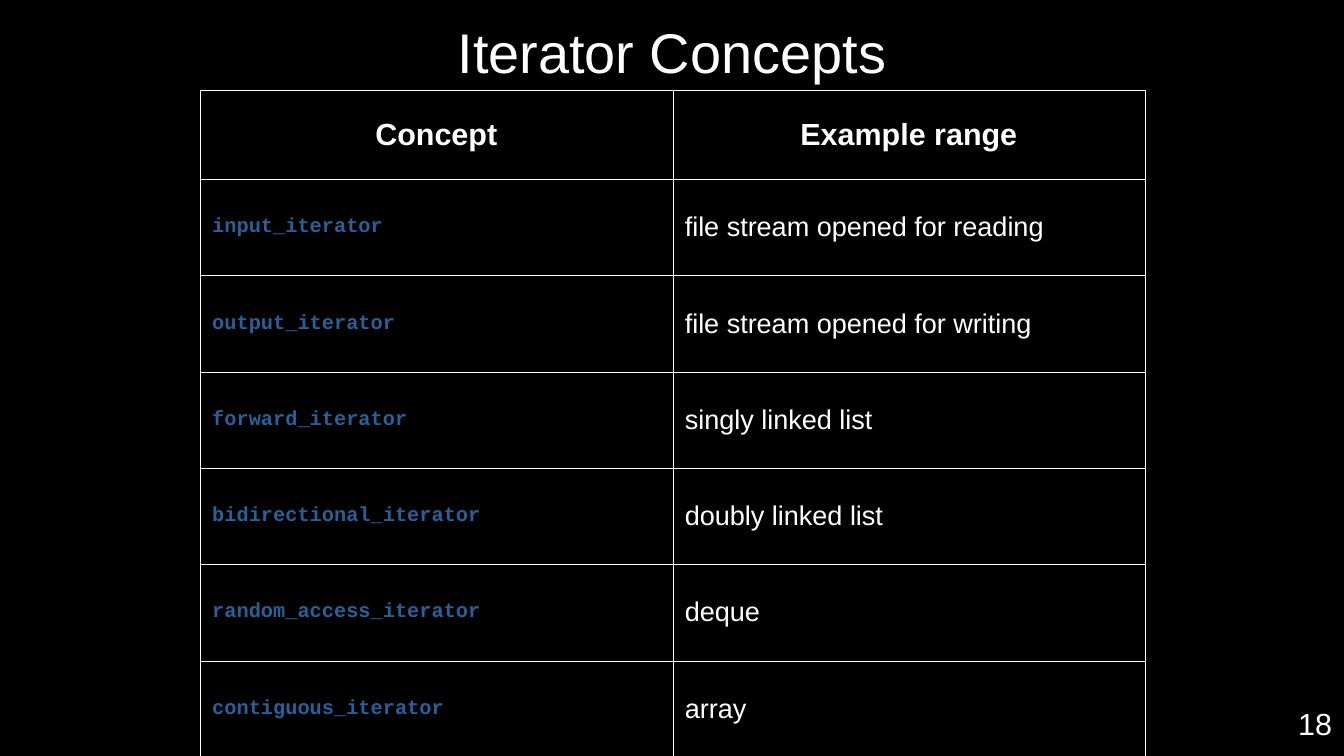
"""Build the slide on iterator concepts with its table of example ranges."""
from lxml.etree import SubElement
from pptx import Presentation
from pptx.dml.color import RGBColor
from pptx.enum.text import MSO_ANCHOR as Anchor, PP_ALIGN as Align
from pptx.oxml.ns import qn
from pptx.util import Inches, Pt

BLACK = RGBColor(0x00, 0x00, 0x00)
WHITE = RGBColor(0xFF, 0xFF, 0xFF)
BLUE = RGBColor(0x2A, 0x60, 0x99)

HEADINGS = ("Concept", "Example range")
CONCEPTS = (
    ("input_iterator", "file stream opened for reading"),
    ("output_iterator", "file stream opened for writing"),
    ("forward_iterator", "singly linked list"),
    ("bidirectional_iterator", "doubly linked list"),
    ("random_access_iterator", "deque"),
    ("contiguous_iterator", "array"),
)


def add_run(frame, text, size, color=WHITE, font="Arial", bold=False, align=Align.LEFT):
    paragraph = frame.paragraphs[0]
    paragraph.alignment = align
    run = paragraph.add_run()
    run.text = text
    run.font.size = Pt(size)
    run.font.name = font
    run.font.bold = bold
    run.font.color.rgb = color


def set_title(slide, text):
    title = slide.shapes.title
    title.left, title.top = Inches(0.55), Inches(0.03)
    title.width, title.height = Inches(9.92), Inches(0.78)
    frame = title.text_frame
    frame.margin_left = frame.margin_right = frame.margin_top = frame.margin_bottom = 0
    frame.vertical_anchor = Anchor.MIDDLE
    add_run(frame, text, 33, align=Align.CENTER)


def add_slide_number(slide, text):
    box = slide.shapes.add_textbox(Inches(6.83), Inches(5.73), Inches(4.19), Inches(0.47))
    box.text_frame.word_wrap = True
    add_run(box.text_frame, text, 18, align=Align.RIGHT)


def add_borders(cell):
    properties = cell._tc.get_or_add_tcPr()
    for side in ("a:lnL", "a:lnR", "a:lnT", "a:lnB"):
        line = SubElement(properties, qn(side), w=str(Pt(0.06)))
        fill = SubElement(line, qn("a:solidFill"))
        SubElement(fill, qn("a:srgbClr"), val=str(WHITE))


def fill_cell(cell, text, size, **style):
    add_borders(cell)
    cell.fill.solid()
    cell.fill.fore_color.rgb = BLACK
    cell.vertical_anchor = Anchor.MIDDLE
    add_run(cell.text_frame, text, size, **style)


def add_concept_table(slide):
    frame = slide.shapes.add_table(
        len(CONCEPTS) + 1, len(HEADINGS), Inches(1.64), Inches(0.74), Inches(7.75), Inches(5.46))
    table = frame.table
    for row in table.rows:
        row.height = Inches(0.79)
    table.rows[0].height = Inches(0.73)
    for column, heading in enumerate(HEADINGS):
        fill_cell(table.cell(0, column), heading, 18, bold=True, align=Align.CENTER)
    for row, (concept, example) in enumerate(CONCEPTS, start=1):
        fill_cell(table.cell(row, 0), concept, 12, color=BLUE, font="Courier New", bold=True)
        fill_cell(table.cell(row, 1), example, 16)


def main():
    presentation = Presentation()
    presentation.slide_width, presentation.slide_height = Inches(11.02), Inches(6.2)
    slide = presentation.slides.add_slide(presentation.slide_layouts.get_by_name("Title Only"))
    slide.background.fill.solid()
    slide.background.fill.fore_color.rgb = BLACK
    set_title(slide, "Iterator Concepts")
    add_slide_number(slide, "18")
    add_concept_table(slide)
    presentation.save("out.pptx")


if __name__ == "__main__":
    main()
